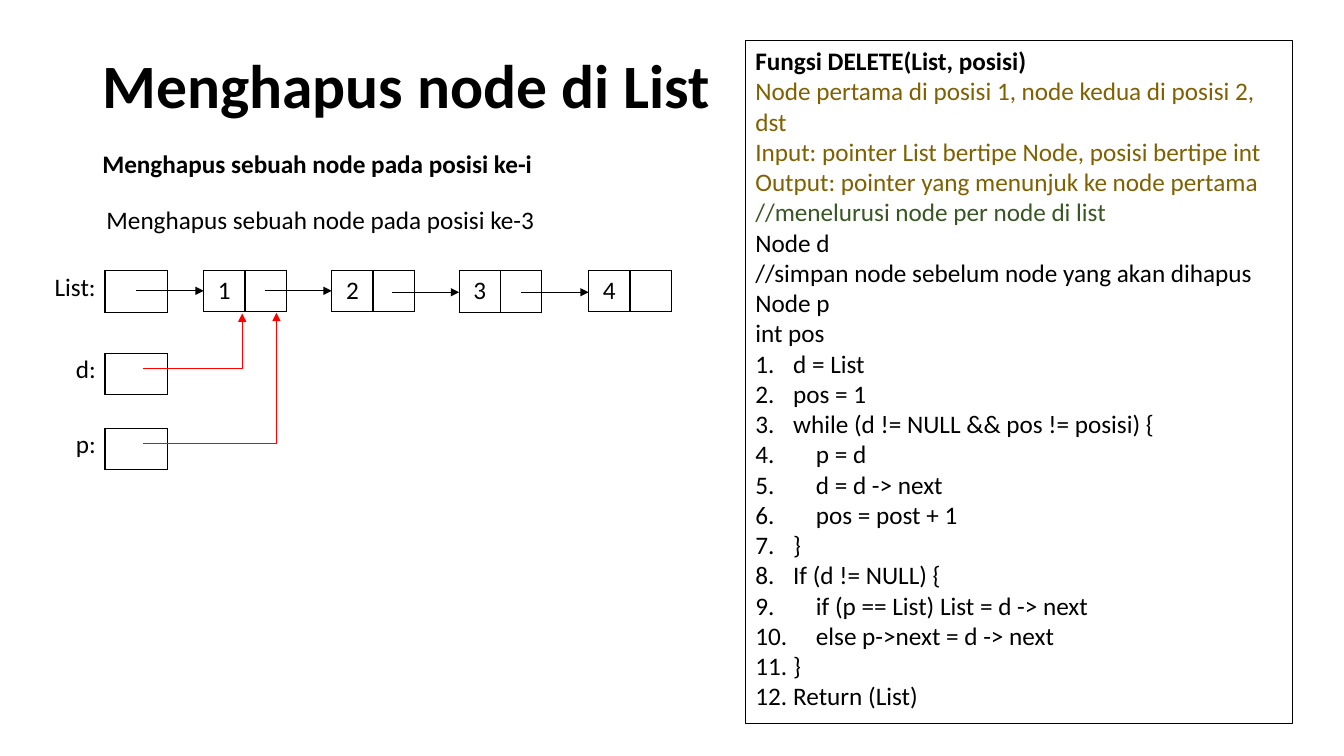
from typing import NamedTuple

from lxml import etree
from pptx import Presentation
from pptx.dml.color import RGBColor
from pptx.enum import shapes, text
from pptx.oxml import ns
from pptx.util import Pt

FONT = "Calibri"
BLACK, RED, OLIVE, GREEN = "000000", "FF0000", "806000", "385723"
ROW_HEIGHT = 29.5
FIELD_WIDTH = 29.5
POINTER_LEFT, POINTER_WIDTH = 75, 44.5
LABEL_LEFT = 31
ARROW_LENGTH = 48
NUMBER_INDENT = 27


class Node(NamedTuple):
    value: str
    left: float
    top: float
    arrow_y: float


class Pointer(NamedTuple):
    name: str
    label_top: float
    box_top: float


class Link(NamedTuple):
    start_y: float
    end_x: float
    end_y: float


class CodeLine(NamedTuple):
    words: str
    color: str = BLACK
    bold: bool = False


NODES = [
    Node("1", 145.5, 193, 207.75),
    Node("2", 237, 193, 207.75),
    Node("3", 328, 193.5, 208.75),
    Node("4", 420.5, 193, 208.75),
]
POINTERS = [
    Pointer("List:", 190.5, 193.5),
    Pointer("d:", 249, 252.5),
    Pointer("p:", 302.5, 306),
]
LINK_LEFT = 102.5
LINKS = [Link(263.5, 173, 224), Link(317, 197.5, 223.5)]

HEADER = [
    CodeLine("Fungsi DELETE(List, posisi)", bold=True),
    CodeLine("Node pertama di posisi 1, node kedua di posisi 2, dst", OLIVE),
    CodeLine("Input: pointer List bertipe Node, posisi bertipe int", OLIVE),
    CodeLine("Output: pointer yang menunjuk ke node pertama", OLIVE),
    CodeLine("//menelurusi node per node di list", GREEN),
    CodeLine("Node d"),
    CodeLine("//simpan node sebelum node yang akan dihapus"),
    CodeLine("Node p"),
    CodeLine("int pos"),
]
STEPS = [
    "d = List",
    "pos = 1",
    "while (d != NULL && pos != posisi) {",
    "    p = d",
    "    d = d -> next",
    "    pos = post + 1",
    "}",
    "If (d != NULL) {",
    "    if (p == List) List = d -> next",
    "    else p->next = d -> next",
    "}",
    "Return (List)",
]


def hex_color(value: str) -> RGBColor:
    return RGBColor.from_string(value)


def add_run(paragraph, words: str, size: float = 18, color: str = BLACK, bold: bool = False) -> None:
    run = paragraph.add_run()
    run.text = words
    run.font.name = FONT
    run.font.size = Pt(size)
    run.font.bold = bold
    run.font.color.rgb = hex_color(color)


def add_label(slide, words: str, left: float, top: float, width: float,
              bold: bool = False, align=text.PP_ALIGN.LEFT) -> None:
    frame = slide.shapes.add_textbox(Pt(left), Pt(top), Pt(width), Pt(29)).text_frame
    frame.word_wrap = True
    frame.auto_size = text.MSO_AUTO_SIZE.SHAPE_TO_FIT_TEXT
    paragraph = frame.paragraphs[0]
    paragraph.alignment = align
    add_run(paragraph, words, bold=bold)


def add_borders(cell, width: float = 1) -> None:
    properties = cell._tc.get_or_add_tcPr()
    for index, side in enumerate(("lnL", "lnR", "lnT", "lnB")):
        line = etree.Element(ns.qn(f"a:{side}"), w=str(Pt(width)))
        fill = etree.SubElement(line, ns.qn("a:solidFill"))
        etree.SubElement(fill, ns.qn("a:srgbClr"), val=BLACK)
        properties.insert(index, line)


def add_cells(slide, left: float, top: float, width: float, values: list[str]) -> None:
    """Draw one row of bordered, equally wide cells."""
    table = slide.shapes.add_table(
        1, len(values), Pt(left), Pt(top), Pt(width * len(values)), Pt(ROW_HEIGHT)).table
    table.first_row = table.horz_banding = False
    for column, value in enumerate(values):
        table.columns[column].width = Pt(width)
        cell = table.cell(0, column)
        cell.fill.background()
        add_borders(cell)
        if value:
            paragraph = cell.text_frame.paragraphs[0]
            paragraph.alignment = text.PP_ALIGN.CENTER
            add_run(paragraph, value)


def add_arrow(slide, kind, start: tuple[float, float], end: tuple[float, float], color: str):
    arrow = slide.shapes.add_connector(kind, *map(Pt, start + end))
    arrow.line.color.rgb = hex_color(color)
    arrow.line.width = Pt(0.5)
    etree.SubElement(arrow.line._get_or_add_ln(), ns.qn("a:tailEnd"), type="triangle")
    etree.SubElement(arrow._element.spPr, ns.qn("a:effectLst"))
    return arrow


def add_link(slide, link: Link) -> None:
    """Draw a red elbow that runs right, then straight up to a node."""
    arrow = add_arrow(slide, shapes.MSO_CONNECTOR.ELBOW, (LINK_LEFT, link.start_y),
                      (link.end_x, link.end_y), RED)
    geometry = arrow._element.spPr.find(ns.qn("a:prstGeom"))
    guides = geometry.find(ns.qn("a:avLst"))
    if guides is None:
        guides = etree.SubElement(geometry, ns.qn("a:avLst"))
    etree.SubElement(guides, ns.qn("a:gd"), name="adj1", fmla="val 100000")


def number_paragraph(paragraph) -> None:
    properties = paragraph._p.get_or_add_pPr()
    properties.set("marL", str(Pt(NUMBER_INDENT)))
    properties.set("indent", str(Pt(-NUMBER_INDENT)))
    etree.SubElement(properties, ns.qn("a:buFont"), typeface="+mj-lt")
    etree.SubElement(properties, ns.qn("a:buAutoNum"), type="arabicPeriod")


def add_code(slide) -> None:
    box = slide.shapes.add_shape(
        shapes.MSO_SHAPE.RECTANGLE, Pt(532.5), Pt(29), Pt(390.5), Pt(487.5))
    box.shadow.inherit = False
    box.fill.background()
    box.line.color.rgb = hex_color(BLACK)
    box.line.width = Pt(0.75)
    frame = box.text_frame
    frame.word_wrap = True
    frame.auto_size = text.MSO_AUTO_SIZE.SHAPE_TO_FIT_TEXT
    frame.vertical_anchor = text.MSO_ANCHOR.TOP
    for index, line in enumerate(HEADER + [CodeLine(step) for step in STEPS]):
        paragraph = frame.add_paragraph() if index else frame.paragraphs[0]
        paragraph.alignment = text.PP_ALIGN.LEFT
        if index >= len(HEADER):
            number_paragraph(paragraph)
        add_run(paragraph, line.words, color=line.color, bold=line.bold)


def add_title(slide) -> None:
    title = slide.shapes.title
    title.left, title.top, title.width, title.height = map(Pt, (66, 29, 493, 69))
    frame = title.text_frame
    frame.auto_size = text.MSO_AUTO_SIZE.NONE
    frame.vertical_anchor = text.MSO_ANCHOR.MIDDLE
    paragraph = frame.paragraphs[0]
    paragraph.alignment = text.PP_ALIGN.LEFT
    paragraph.line_spacing = 0.9
    add_run(paragraph, "Menghapus node di List", 44, bold=True)


def main() -> None:
    presentation = Presentation()
    presentation.slide_width, presentation.slide_height = Pt(960), Pt(540)
    slide = presentation.slides.add_slide(presentation.slide_layouts[5])
    add_title(slide)
    add_label(slide, "Menghapus sebuah node pada posisi ke-i", 66, 102.5, 363, bold=True)
    add_label(slide, "Menghapus sebuah node pada posisi ke-3", 69, 142.5, 351.5)
    add_code(slide)
    for pointer in POINTERS:
        add_cells(slide, POINTER_LEFT, pointer.box_top, POINTER_WIDTH, [""])
        add_label(slide, pointer.name, LABEL_LEFT, pointer.label_top, POINTER_WIDTH,
                  align=text.PP_ALIGN.RIGHT)
    for node in NODES:
        add_cells(slide, node.left, node.top, FIELD_WIDTH, [node.value, ""])
        add_arrow(slide, shapes.MSO_CONNECTOR.STRAIGHT, (node.left - ARROW_LENGTH, node.arrow_y),
                  (node.left, node.arrow_y), BLACK)
    for link in LINKS:
        add_link(slide, link)
    presentation.save("out.pptx")


if __name__ == "__main__":
    main()
